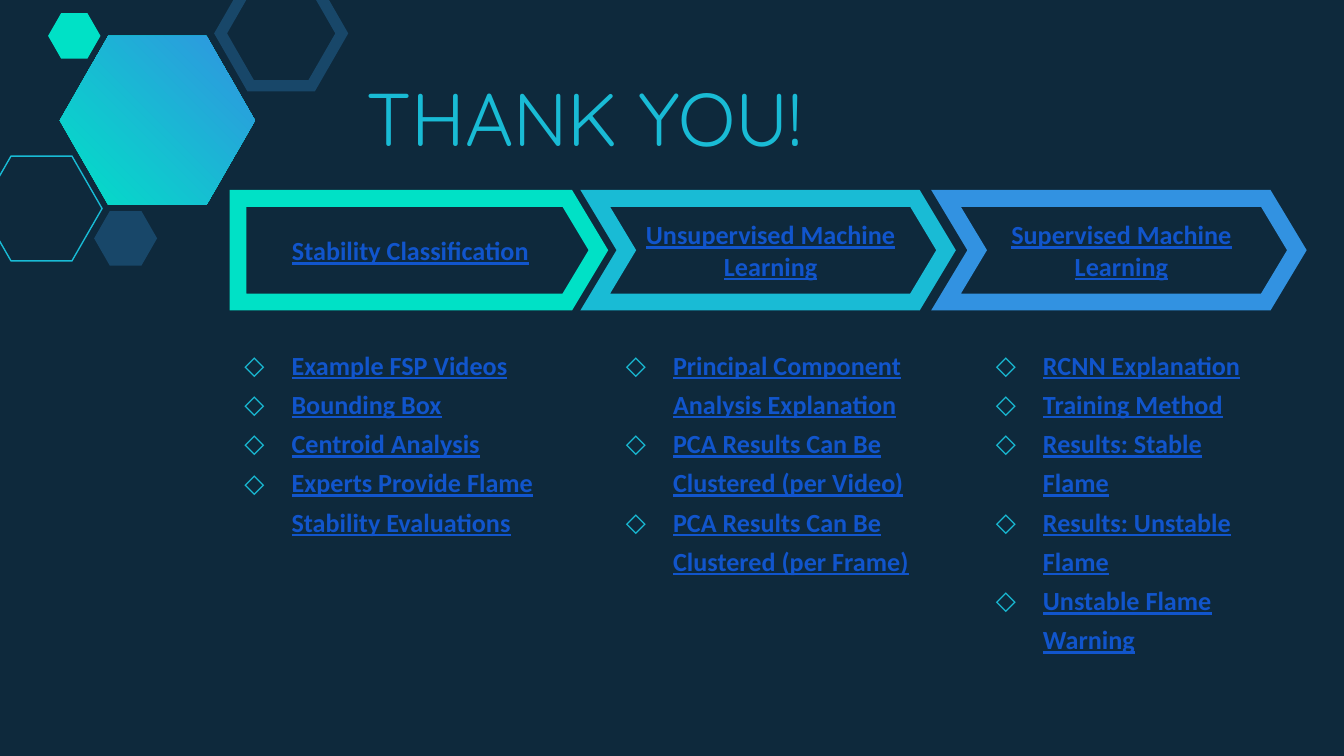
from lxml import etree
from pptx import Presentation
from pptx import util as u
from pptx.dml import color
from pptx.enum import shapes, text
from pptx.oxml import ns

NAVY, TEAL, CYAN, BLUE = "0E293C", "00E1C6", "19BBD5", "3292E1"
STEEL, LINK = "184769", "1155CC"
HEXAGON_RATIO = 0.866

SECTIONS = [
    (shapes.MSO_SHAPE.PENTAGON, "Stability Classification", TEAL, 4.5, 6.81, 3.99, 6.73,
     ["Example FSP Videos", "Bounding Box", "Centroid Analysis",
      "Experts Provide Flame Stability Evaluations"]),
    (shapes.MSO_SHAPE.CHEVRON, "Unsupervised Machine Learning", CYAN, 11.25, 6.63, 11.2, 6.73,
     ["Principal Component Analysis Explanation",
      "PCA Results Can Be Clustered (per Video)",
      "PCA Results Can Be Clustered (per Frame)"]),
    (shapes.MSO_SHAPE.CHEVRON, "Supervised Machine Learning", BLUE, 17.88, 6.63, 18.19, 6.05,
     ["RCNN Explanation", "Training Method", "Results: Stable Flame",
      "Results: Unstable Flame", "Unstable Flame Warning"]),
]


def rgb(value):
    return color.RGBColor.from_string(value)


def add_child(parent, tag, **attributes):
    return etree.SubElement(parent, ns.qn(tag), **attributes)


def add_outline_shape(slide, preset, left, top, width, height, adjustment,
                      fill=None, line=None, weight=0):
    shape = slide.shapes.add_shape(preset, u.Cm(left), u.Cm(top), u.Cm(width), u.Cm(height))
    shape.shadow.inherit = False
    shape.adjustments[0] = adjustment
    if fill:
        shape.fill.solid()
        shape.fill.fore_color.rgb = rgb(fill)
    else:
        shape.fill.background()
    if line:
        shape.line.color.rgb = rgb(line)
        shape.line.width = u.Pt(weight)
        add_child(shape.line._get_or_add_ln(), "a:miter", lim="800000")
    else:
        shape.line.fill.background()
    return shape


def add_hexagon(slide, left, top, width, **style):
    return add_outline_shape(slide, shapes.MSO_SHAPE.HEXAGON, left, top, width,
                             width * HEXAGON_RATIO, 0.287, **style)


def add_gradient_hexagon(slide, left, top, width):
    hexagon = add_hexagon(slide, left, top, width)
    hexagon.fill.gradient()
    hexagon.fill.gradient_angle = 45
    for stop, value in zip(hexagon.fill.gradient_stops, (TEAL, BLUE)):
        stop.color.rgb = rgb(value)


def prepare_frame(frame, anchor):
    frame.word_wrap = True
    frame.auto_size = text.MSO_AUTO_SIZE.NONE
    frame.vertical_anchor = anchor
    frame.margin_left = frame.margin_right = u.Cm(0.25)
    frame.margin_top = frame.margin_bottom = u.Cm(0.25)


def place(placeholder, left, top, width, height):
    placeholder.left, placeholder.top = u.Cm(left), u.Cm(top)
    placeholder.width, placeholder.height = u.Cm(width), u.Cm(height)


def add_run(paragraph, wording, size, font, value, link_style=False):
    run = paragraph.add_run()
    run.text = wording
    run.font.size = u.Pt(size)
    run.font.name = font
    run.font.color.rgb = rgb(value)
    run.font.bold = run.font.underline = link_style


def add_link_text(paragraph, wording):
    add_run(paragraph, wording, 14, "Calibri", LINK, link_style=True)


def add_diamond_bullet(paragraph):
    properties = paragraph._p.get_or_add_pPr()
    properties.set("marL", str(u.Cm(1.27)))
    properties.set("indent", str(u.Cm(-0.89)))
    add_child(add_child(properties, "a:buClr"), "a:srgbClr", val=CYAN)
    add_child(properties, "a:buFont", typeface="Quicksand")
    add_child(properties, "a:buChar", char="◇")


def fill_title(title):
    place(title, 6.68, 1.5, 13.74, 1.8)
    prepare_frame(title.text_frame, text.MSO_ANCHOR.BOTTOM)
    heading = title.text_frame.paragraphs[0]
    heading.alignment = text.PP_ALIGN.LEFT
    add_run(heading, "THANK YOU!", 40, "Quicksand", CYAN)


def fill_topics(body, left, width, topics):
    place(body, left, 6.2, width, 7.06)
    frame = body.text_frame
    prepare_frame(frame, text.MSO_ANCHOR.TOP)
    for number, topic in enumerate(topics):
        paragraph = frame.add_paragraph() if number else frame.paragraphs[0]
        add_diamond_bullet(paragraph)
        paragraph.alignment = text.PP_ALIGN.LEFT
        paragraph.line_spacing = 1.25
        paragraph.space_before = u.Pt(0)
        add_link_text(paragraph, topic)


def add_banner(slide, preset, wording, value, left, width):
    banner = add_outline_shape(slide, preset, left, 3.75, width, 1.96, 0.3,
                               line=value, weight=9)
    prepare_frame(banner.text_frame, text.MSO_ANCHOR.MIDDLE)
    label = banner.text_frame.paragraphs[0]
    label.alignment = text.PP_ALIGN.CENTER
    add_link_text(label, wording)


def main():
    deck = Presentation()
    deck.slide_width, deck.slide_height = u.Cm(25.4), u.Cm(14.29)
    slide = deck.slides.add_slide(deck.slide_layouts.get_by_name("Comparison"))
    slide.background.fill.solid()
    slide.background.fill.fore_color.rgb = rgb(NAVY)

    title, *bodies, spare = slide.placeholders
    spare.element.getparent().remove(spare.element)
    fill_title(title)

    add_gradient_hexagon(slide, 1.13, 0.68, 3.69)
    add_hexagon(slide, -0.36, 2.95, 2.29, line=CYAN, weight=0.75)
    add_hexagon(slide, 1.78, 3.99, 1.19, fill=STEEL)
    add_hexagon(slide, 4.17, -0.36, 2.29, line=STEEL, weight=6)
    add_hexagon(slide, 0.91, 0.25, 0.99, fill=TEAL)

    for body, section in zip(bodies, SECTIONS):
        preset, wording, value, left, width, list_left, list_width, topics = section
        add_banner(slide, preset, wording, value, left, width)
        fill_topics(body, list_left, list_width, topics)

    deck.save("out.pptx")


if __name__ == "__main__":
    main()
